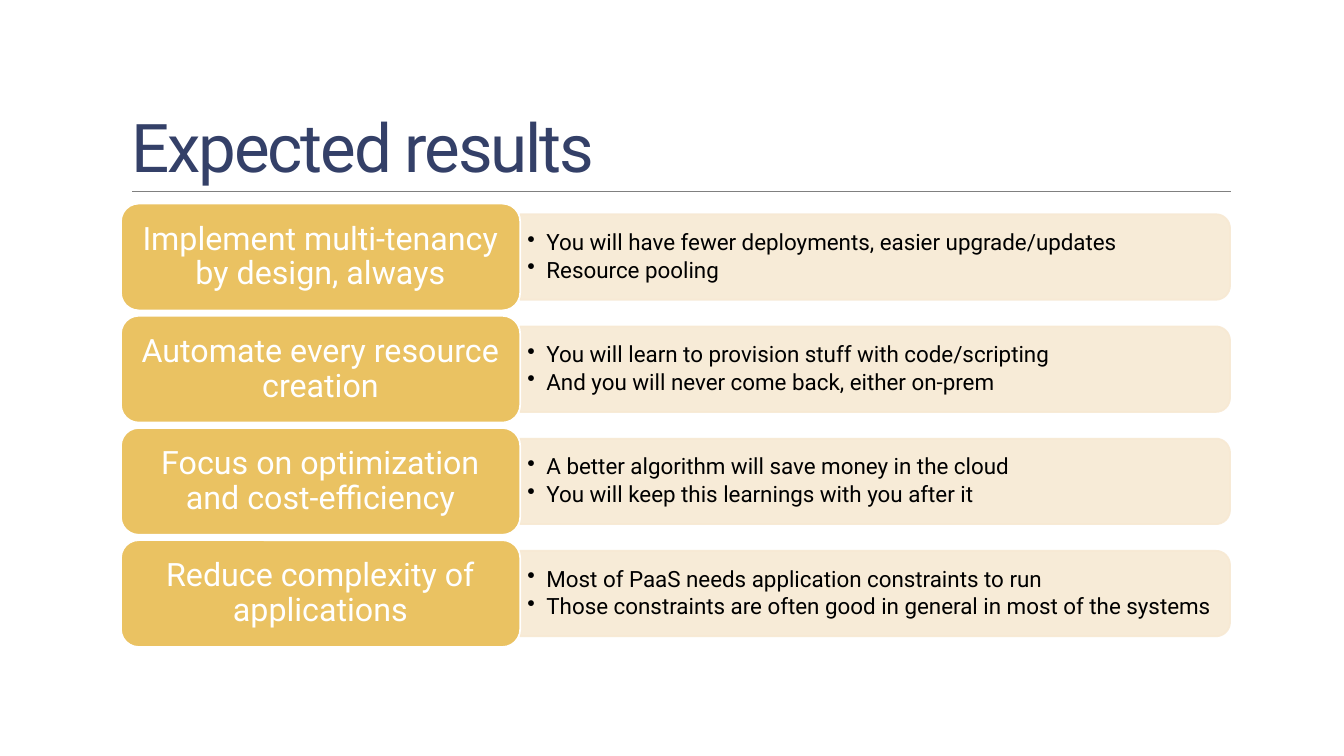
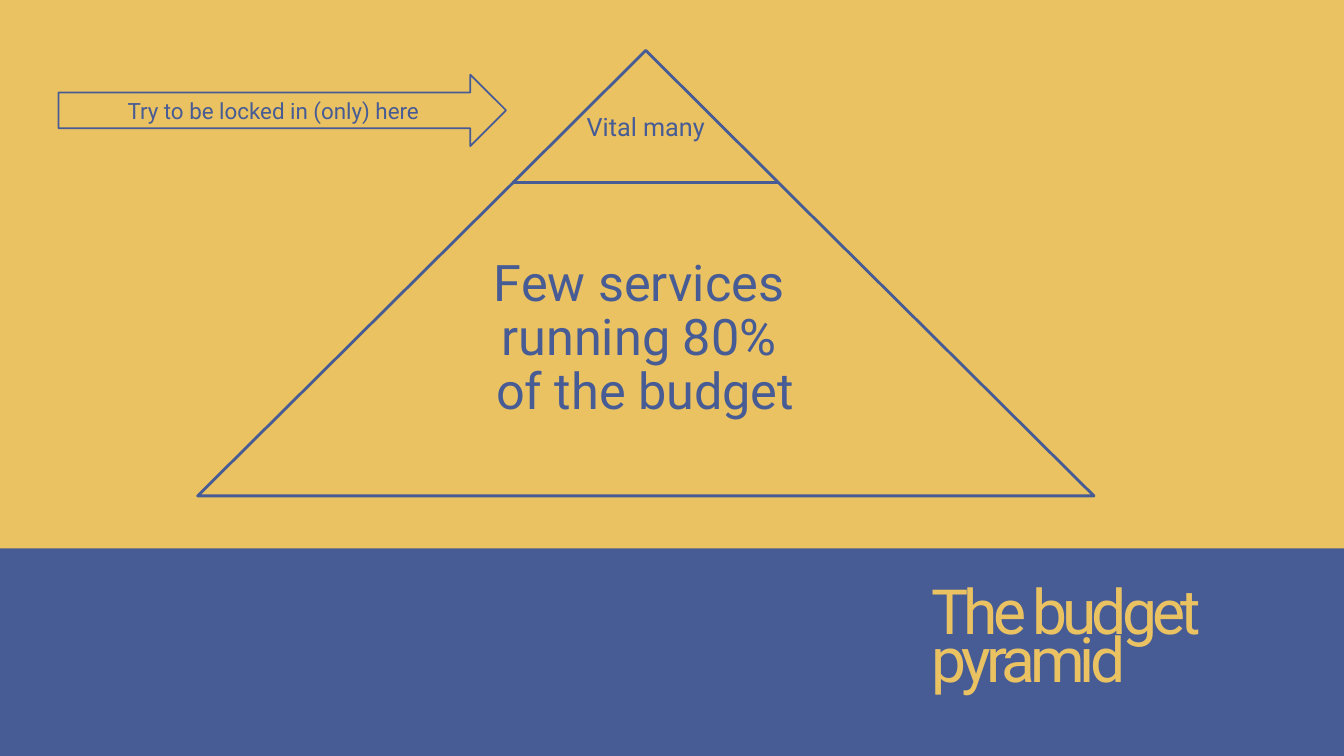
from math import cos, pi, sin

from lxml import etree
from pptx import Presentation
from pptx.dml.color import RGBColor
from pptx.enum.shapes import MSO_CONNECTOR, MSO_SHAPE as Shape
from pptx.enum.text import MSO_ANCHOR as Anchor, MSO_AUTO_SIZE as AutoSize, PP_ALIGN as Align
from pptx.oxml.ns import qn
from pptx.util import Inches, Pt

FONT = "Roboto"
COLORS = {
    "navy": "344068", "blue": "475C95", "gold": "EAC262", "cream": "F7E9D3",
    "gray": "808080", "white": "FFFFFF", "black": "000000",
}
TITLE_ONLY = 5
SLIDE_W, SLIDE_H = 13.33, 7.5

RESULTS = [
    ("Implement multi-tenancy by design, always",
     ["You will have fewer deployments, easier upgrade/updates",
      "Resource pooling"]),
    ("Automate every resource creation",
     ["You will learn to provision stuff with code/scripting",
      "And you will never come back, either on-prem"]),
    ("Focus on optimization and cost-efficiency",
     ["A better algorithm will save money in the cloud",
      "You will keep this learnings with you after it"]),
    ("Reduce complexity of applications",
     ["Most of PaaS needs application constraints to run",
      "Those constraints are often good in general in most of the systems"]),
]


def rgb(name):
    return RGBColor.from_string(COLORS[name])


def box(*lengths):
    return [Inches(v) for v in lengths]


# Text
def add_bullet(p, indent):
    pPr = p._p.get_or_add_pPr()
    pPr.set("marL", str(Inches(indent)))
    pPr.set("indent", str(-Inches(indent)))
    etree.SubElement(pPr, qn("a:buChar")).set("char", "•")


def write(sp, *lines, size, color, align=Align.CENTER, anchor=Anchor.MIDDLE,
          spacing=1.0, after=0, tracking=0, bullet=None, insets=(0.1, 0.05, 0.1, 0.05)):
    """Fill a shape with one paragraph per line; after is a share of the size."""
    tf = sp.text_frame
    tf.word_wrap = True
    tf.auto_size = AutoSize.NONE
    tf.vertical_anchor = anchor
    tf.margin_left, tf.margin_top, tf.margin_right, tf.margin_bottom = box(*insets)
    for i, line in enumerate(lines):
        p = tf.add_paragraph() if i else tf.paragraphs[0]
        p.text = line
        p.alignment = align
        p.line_spacing = spacing
        p.space_after = Pt(size * after)
        if bullet:
            add_bullet(p, bullet)
        for r in p.runs:
            r.font.name, r.font.size = FONT, Pt(size)
            r.font.color.rgb = rgb(color)
            if tracking:
                r._r.get_or_add_rPr().set("spc", str(round(tracking * 100)))


def write_title(slide, text, at, **style):
    sp = slide.shapes.title
    sp.left, sp.top, sp.width, sp.height = box(*at)
    write(sp, text, align=Align.LEFT, anchor=Anchor.BOTTOM, **style)


# Shapes
def paint(sp, fill, line=None, width=1.25, opacity=100):
    sp.shadow.inherit = False
    sp.fill.solid()
    sp.fill.fore_color.rgb = rgb(fill)
    if line:
        sp.line.color.rgb = rgb(line)
        sp.line.width = Pt(width)
    else:
        sp.line.fill.background()
    if opacity < 100:
        for clr in sp._element.spPr.iter(qn("a:srgbClr")):
            etree.SubElement(clr, qn("a:alpha")).set("val", str(opacity * 1000))


def add_shape(slide, kind, at, fill, line=None, width=1.25):
    sp = slide.shapes.add_shape(kind, *box(*at))
    paint(sp, fill, line, width)
    return sp


def add_right_rounded(slide, x, y, w, h, radius):
    """Bar with square left corners and rounded right ones."""
    points = []
    for center_y, start in ((y + radius, -pi / 2), (y + h - radius, 0)):
        for step in range(9):
            angle = start + step * pi / 16
            points.append(box(x + w - radius + radius * cos(angle),
                              center_y + radius * sin(angle)))
    points.append(box(x, y + h))
    builder = slide.shapes.build_freeform(*box(x, y))
    builder.add_line_segments(points, close=True)
    return builder.convert_to_shape()


def add_rule(slide, x1, x2, y):
    line = slide.shapes.add_connector(MSO_CONNECTOR.STRAIGHT, *box(x1, y, x2, y))
    line.line.color.rgb = rgb("gray")
    line.line.width = Pt(0.5)
    etree.SubElement(line._element.spPr, qn("a:effectLst"))


def add_result_row(slide, y, h, heading, details):
    x, label_w, bar_w = 1.2, 3.96, 7.04
    bar = add_right_rounded(slide, x + label_w, y + h * 0.1, bar_w, h * 0.8, 0.14)
    paint(bar, "cream", "cream", opacity=90)
    write(bar, *details, size=16, color="black", align=Align.LEFT, spacing=0.9,
          after=0.15, bullet=0.19, insets=(0.07, 0.07, 0.11, 0.07))
    label = add_shape(slide, Shape.ROUNDED_RECTANGLE, (x, y, label_w, h), "gold", "white")
    write(label, heading, size=23, color="white", spacing=0.9, after=0.35)


def add_pyramid_tier(slide, at, text, text_at, size):
    tier = add_shape(slide, Shape.TRAPEZOID, at, "gold", "blue", 2)
    tier.adjustments[0] = 1.007
    label = slide.shapes.add_textbox(*box(*text_at))
    write(label, text, size=size, color="blue", spacing=0.9, after=0.35,
          insets=(0.05,) * 4)


# Slides
def build_results(prs):
    slide = prs.slides.add_slide(prs.slide_layouts[TITLE_ONLY])
    add_rule(slide, 1.31, 12.21, 1.9)
    write_title(slide, "Expected results", (1.2, 0.31, 11, 1.59),
                size=48, color="navy", spacing=0.85, tracking=-1.5)
    row_h = 1.06
    for i, (heading, details) in enumerate(RESULTS):
        add_result_row(slide, 2.02 + i * row_h * 1.05, row_h, heading, details)


def build_pyramid(prs):
    slide = prs.slides.add_slide(prs.slide_layouts[TITLE_ONLY])
    # Bands behind the title
    for top, height, color in ((5.42, 2.08, "blue"), (0, 5.44, "gold")):
        band = add_shape(slide, Shape.RECTANGLE, (0, top, SLIDE_W, height), color)
        slide.shapes.title._element.addprevious(band._element)
    write_title(slide, "The budget pyramid", (9.2, 5.72, 3.79, 1.2), size=44.5,
                color="gold", spacing=0.65, tracking=-3.5, insets=(0.04, 0.05, 0.04, 0.05))
    # Pyramid and pointer
    add_pyramid_tier(slide, (5.09, 0.5, 2.63, 1.31), "Vital many",
                     (5.09, 0.62, 2.63, 1.31), 18)
    add_pyramid_tier(slide, (1.96, 1.81, 8.89, 3.11),
                     "Few services \vrunning 80% \vof the budget",
                     (3.51, 1.81, 5.78, 3.11), 36)
    arrow = add_shape(slide, Shape.RIGHT_ARROW, (0.58, 0.74, 4.44, 0.71), "gold", "blue")
    write(arrow, "Try to be locked in (only) here", size=16, color="blue")


def main():
    prs = Presentation()
    prs.slide_width, prs.slide_height = box(SLIDE_W, SLIDE_H)
    build_results(prs)
    build_pyramid(prs)
    prs.save("out.pptx")


if __name__ == "__main__":
    main()
